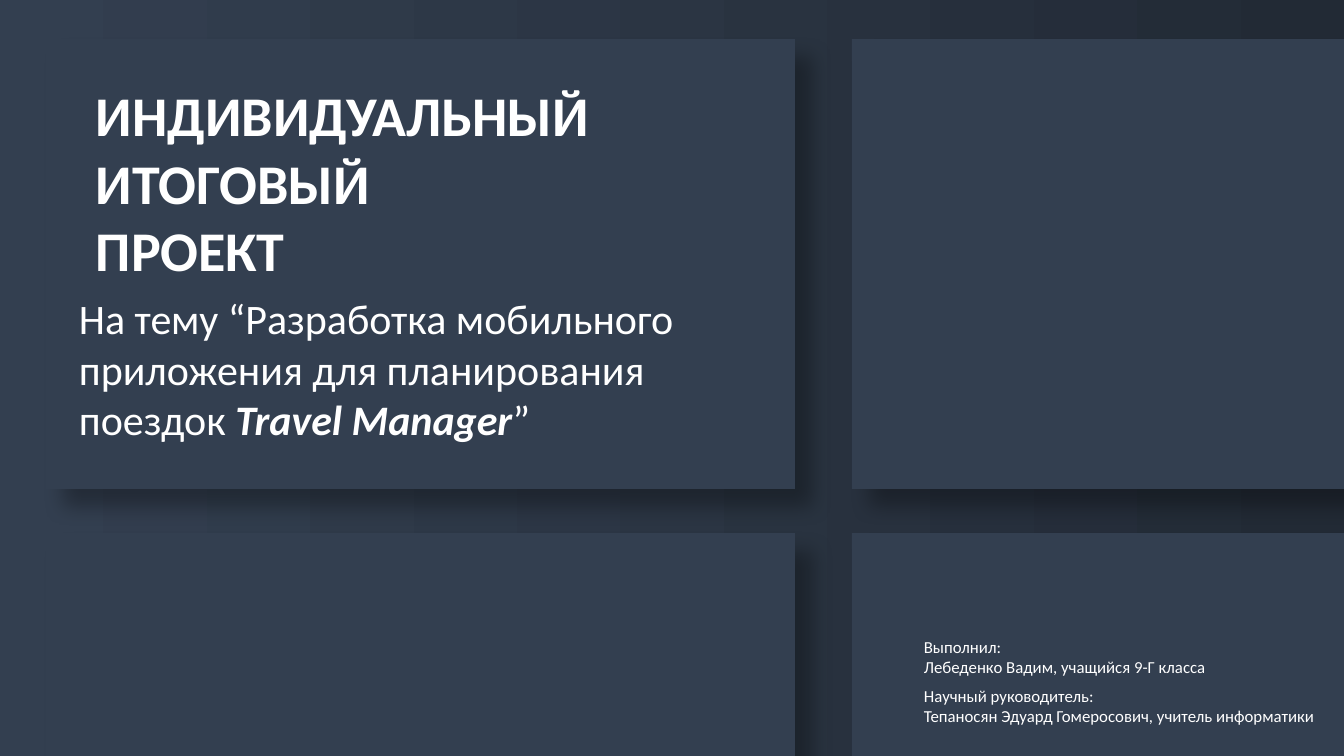
from itertools import product
from lxml.etree import SubElement
from pptx import Presentation
from pptx.dml.color import RGBColor
from pptx.enum.shapes import MSO_SHAPE as Shape
from pptx.enum.text import MSO_AUTO_SIZE as AutoSize
from pptx.oxml.ns import qn
from pptx.util import Emu, Pt

PANEL, NIGHT, WHITE = "333F50", "222A35", "FFFFFF"
FONT = "Calibri"

TEXTS = [
    {"box": (86, 76, 519, 214), "size": 40, "wrap": False, "paragraphs": [
        [("ИНДИВИДУАЛЬНЫЙ", "b")], [("ИТОГОВЫЙ", "b")], [("ПРОЕКТ", "b")]]},
    {"box": (69, 288, 727, 163), "size": 30, "wrap": True, "paragraphs": [
        [("На тему “Разработка мобильного приложения для планирования поездок ", ""),
         ("Travel Manager", "bi"), ("”", "")]]},
    {"box": (914, 632, 399, 50), "size": 12, "wrap": True, "paragraphs": [
        [("Выполнил:", "")], [("Лебеденко Вадим, учащийся 9-Г класса", "")]]},
    {"box": (914, 681, 415, 50), "size": 12, "wrap": False, "paragraphs": [
        [("Научный руководитель:", "")],
        [("Тепаносян Эдуард Гомеросович, учитель информатики", "")]]},
]

CARD_LEFT, CARD_TOP = 46, 39
CARD_WIDTH, CARD_HEIGHT = 749, 450
GAP_X, GAP_Y = 57, 44


def px(length):
    return Emu(round(length * 914400 / 100.8))


def color(code):
    return RGBColor.from_string(code)


def cast_shadow(card):
    card.shadow.inherit = False
    effects = card._element.spPr.find(qn("a:effectLst"))
    shadow = SubElement(effects, qn("a:outerShdw"), blurRad=str(Pt(15)), dist=str(Pt(18)),
                        dir=str(45 * 60000), algn="tl", rotWithShape="0")
    tint = SubElement(shadow, qn("a:srgbClr"), val="000000")
    SubElement(tint, qn("a:alpha"), val="30000")


def add_card(slide, row, column):
    left = CARD_LEFT + column * (CARD_WIDTH + GAP_X)
    top = CARD_TOP + row * (CARD_HEIGHT + GAP_Y)
    card = slide.shapes.add_shape(Shape.RECTANGLE, *map(px, (left, top, CARD_WIDTH, CARD_HEIGHT)))
    card.fill.solid()
    card.fill.fore_color.rgb = color(PANEL)
    card.line.fill.background()
    cast_shadow(card)


def add_text(slide, box, size, wrap, paragraphs):
    frame = slide.shapes.add_textbox(*map(px, box)).text_frame
    frame.word_wrap = wrap
    frame.auto_size = AutoSize.SHAPE_TO_FIT_TEXT
    for index, pieces in enumerate(paragraphs):
        paragraph = frame.add_paragraph() if index else frame.paragraphs[0]
        for words, style in pieces:
            run = paragraph.add_run()
            run.text = words
            run.font.name = FONT
            run.font.size = Pt(size)
            run.font.bold = "b" in style
            run.font.italic = "i" in style
            run.font.color.rgb = color(WHITE)


def main():
    deck = Presentation()
    deck.slide_width, deck.slide_height = px(1344), px(756)
    slide = deck.slides.add_slide(deck.slide_layouts[6])

    backdrop = slide.background.fill
    backdrop.gradient()
    backdrop.gradient_angle = 0
    for stop, code in zip(backdrop.gradient_stops, (PANEL, NIGHT)):
        stop.color.rgb = color(code)

    for row, column in product(range(2), repeat=2):
        add_card(slide, row, column)
    for text in TEXTS:
        add_text(slide, **text)
    deck.save("out.pptx")


if __name__ == "__main__":
    main()
